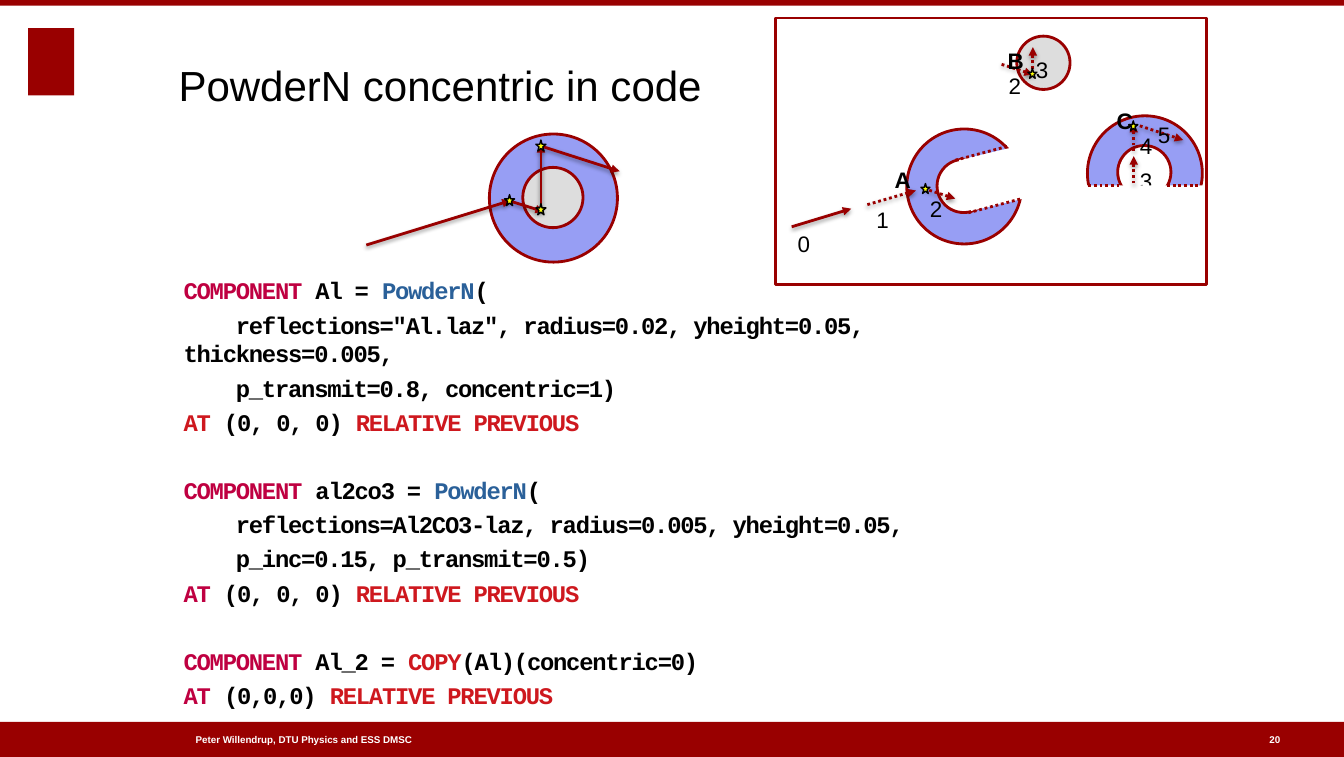
"""Build the slide on concentric powder scattering."""
from lxml.etree import SubElement as Sub
from pptx import Presentation as Deck
from pptx.dml.color import RGBColor as Rgb
from pptx.enum.dml import MSO_LINE as Dash
from pptx.enum.shapes import MSO_CONNECTOR as Link, MSO_SHAPE as Geo
from pptx.enum.text import MSO_ANCHOR as Anchor
from pptx.oxml.ns import qn
from pptx.util import Pt

WIDE, HIGH = 959, 540
RED = Rgb(0x99, 0, 0)
BLUE = Rgb(0x97, 0x9E, 0xF4)
GREY = Rgb(0xDD, 0xDD, 0xDD)
GOLD = Rgb(0xFE, 0xFF, 0x0A)
WHITE = Rgb(0xFF, 0xFF, 0xFF)
BLACK = Rgb(0, 0, 0)
PINK = Rgb(0xBF, 0, 0x41)
NAVY = Rgb(0x2A, 0x60, 0x99)
BRIGHT = Rgb(0xCE, 0x18, 0x1E)

PLACE = [("RELATIVE PREVIOUS", BRIGHT)]
CODE = [
    [[("COMPONENT", PINK), (" Al = ", BLACK), ("PowderN", NAVY), ("(", BLACK)],
     [('    reflections="Al.laz", radius=0.02, yheight=0.05, thickness=0.005,', BLACK)],
     [("    p_transmit=0.8, concentric=1)", BLACK)],
     [("AT", BRIGHT), (" (0, 0, 0) ", BLACK)] + PLACE],
    [[("COMPONENT", PINK), (" al2co3 = ", BLACK), ("PowderN", NAVY), ("(", BLACK)],
     [("    reflections=Al2CO3-laz, radius=0.005, yheight=0.05,", BLACK)],
     [("    p_inc=0.15, p_transmit=0.5)", BLACK)],
     [("AT", PINK), (" (0, 0, 0) ", BLACK)] + PLACE],
    [[("COMPONENT", PINK), (" Al_2 = ", BLACK), ("COPY", BRIGHT), ("(Al)(concentric=0)", BLACK)],
     [("AT ", PINK), ("(0,0,0) ", BLACK)] + PLACE],
]


def style(item, form):
    """Set each format value on the item."""
    for key, value in form.items():
        setattr(item, key, value)


def shape(slide, kind, box, fill, edge=None, thick=2, turn=0):
    """Add a flat preset shape."""
    form = slide.shapes.add_shape(kind, *map(Pt, box))
    form.shadow.inherit = False
    form.rotation = turn
    form.fill.solid()
    form.fill.fore_color.rgb = fill
    if edge is None:
        form.line.fill.background()
    else:
        form.line.color.rgb = edge
        form.line.width = Pt(thick)


def disc(slide, left, top, size, fill):
    """Add a red-edged circle."""
    shape(slide, Geo.OVAL, (left, top, size, size), fill, RED)


def star(slide, left, top, size):
    """Mark a scattering point."""
    shape(slide, Geo.STAR_5_POINT, (left, top, size, size * 1.1), GOLD, BLACK, 1)


def ray(slide, left, top, ends, dots=False, arrow=True):
    """Add a line, with a shadow if it is an arrow."""
    x1, y1, x2, y2 = ends
    line = slide.shapes.add_connector(
        Link.STRAIGHT, Pt(left + x1), Pt(top + y1), Pt(left + x2), Pt(top + y2))
    line.line.color.rgb = RED
    line.line.width = Pt(2)
    if dots:
        line.line.dash_style = Dash.ROUND_DOT
    props = line._element.spPr
    if arrow:
        Sub(props.find(qn("a:ln")), qn("a:tailEnd"), type="triangle")
    glow = Sub(props, qn("a:effectLst"))
    if arrow:
        shade = Sub(glow, qn("a:outerShdw"), blurRad=str(Pt(3)), dist=str(Pt(1.6)),
                    dir="5400000", rotWithShape="0")
        tint = Sub(shade, qn("a:srgbClr"), val="000000")
        Sub(tint, qn("a:alpha"), val="38000")


def frame(slide, box, anchor=Anchor.TOP):
    """Add a text box without margins."""
    text = slide.shapes.add_textbox(*map(Pt, box)).text_frame
    style(text, dict(word_wrap=True, vertical_anchor=anchor, margin_left=0,
                     margin_top=0, margin_right=0, margin_bottom=0))
    return text


def write(para, words, size, tint=BLACK, bold=False, face="Arial"):
    """Add a run of text to a paragraph."""
    run = para.add_run()
    run.text = words
    style(run.font, dict(name=face, size=Pt(size), bold=bold))
    run.font.color.rgb = tint
    return run


def label(slide, box, words, size, tint=BLACK, bold=False, anchor=Anchor.TOP):
    """Add a single line of text."""
    write(frame(slide, box, anchor).paragraphs[0], words, size, tint, bold)


def border(slide, wide, high):
    """Add the bars, the mark and the footer."""
    shape(slide, Geo.RECTANGLE, (0, 0, wide, 4), RED)
    shape(slide, Geo.RECTANGLE, (0, high - 25, wide, 25), RED)
    shape(slide, Geo.RECTANGLE, (20, 20, 33, 48), RED)
    for left, span, words in ((139.7, 268, "Peter Willendrup, DTU Physics and ESS DMSC"),
                              (905.8, 20, "20")):
        label(slide, (left, high - 17.3, span, 10), words, 7, WHITE, True, Anchor.MIDDLE)


def code(slide, box):
    """Write the code, with a wider gap between blocks."""
    text = frame(slide, box)
    para = None
    for block in CODE:
        for row, parts in enumerate(block):
            if para is None:
                para = text.paragraphs[0]
            else:
                para = text.add_paragraph()
                para.space_before = Pt(4 if row else 28.3)
            for words, tint in parts:
                run = write(para, words, 17, tint, True, "Courier New")
                run._r.get_or_add_rPr().set("spc", "-90")


def panel(slide, left, top, wide, high):
    """Draw the framed view of the separate steps."""
    shape(slide, Geo.RECTANGLE, (left, top, wide, high), WHITE, RED)
    for x, y, size, fill in ((93.6, 79.2, 82, BLUE), (115.2, 100.8, 38, WHITE),
                             (222.5, 69.8, 82, BLUE), (244.1, 91, 38, WHITE),
                             (172.1, 13, 38, GREY)):
        disc(slide, left + x, top + y, size, fill)
    label(slide, (left + 259.9, top + 106.6, 14, 18), "3", 16)
    shape(slide, Geo.RECTANGLE, (left + 134.6, top + 95.8, 43.9, 37.4), WHITE, turn=-13.3)
    shape(slide, Geo.RECTANGLE, (left + 213.1, top + 119.5, 92.2, 43.9), WHITE)
    for ends in ((128.2, 101.5, 166.3, 91.4), (137.5, 139, 175.7, 128.9),
                 (223.2, 119.5, 247, 119.5), (279.4, 119.5, 303.1, 119.5)):
        ray(slide, left, top, ends, dots=True, arrow=False)
    ray(slide, left, top, (11.5, 149, 54, 136.1))
    for ends in ((65.5, 133.2, 100.1, 123.1), (105.8, 121.7, 128.2, 128.9),
                 (161.3, 33.1, 183.6, 40.3), (183.6, 40.3, 183.6, 20.9),
                 (255.6, 118.1, 255.6, 98.6), (255.6, 95, 255.6, 75.6),
                 (259.9, 77, 290.9, 87.1)):
        ray(slide, left, top, ends, dots=True)
    for x, y in ((103.7, 118.1), (180, 36), (252, 73.4)):
        star(slide, left + x, top + y, 6.5)
    for x, y, words in ((15.8, 151.2, "0"), (72, 133.9, "1"), (110.2, 126, "2"),
                        (166.3, 38.9, "2"), (185.8, 27.4, "3"), (259.9, 81.4, "4"),
                        (272.9, 73.4, "5"), (85, 105.8, "A"), (165.6, 20.9, "B"),
                        (243.4, 63.4, "C")):
        label(slide, (left + x, top + y, 14, 18), words, 16, bold=words.isalpha())


def target(slide, left, top):
    """Draw the full path through both cylinders."""
    disc(slide, left + 87.8, top, 91.4, BLUE)
    disc(slide, left + 111.6, top + 23.8, 43, GREY)
    for ends in ((0, 79.2, 103, 47.5), (101.5, 47.5, 126.7, 55.4),
                 (124.6, 54, 124.6, 7.2), (124.6, 8.6, 180.7, 26.6)):
        ray(slide, left, top, ends)
    for x, y in ((98.6, 43.2), (121, 49.7), (121, 4.3)):
        star(slide, left + x, top + y, 7.2)


def main():
    """Build and save the slide."""
    deck = Deck()
    style(deck, dict(slide_width=Pt(WIDE), slide_height=Pt(HIGH)))
    slide = deck.slides.add_slide(deck.slide_layouts[6])
    border(slide, WIDE, HIGH)
    label(slide, (127.4, 42.5, 420, 36), "PowderN concentric in code", 30)
    code(slide, (131, 197, 641, 310))
    panel(slide, 553.4, 12.8, 307.5, 190)
    target(slide, 261.4, 95.6)
    deck.save("out.pptx")


if __name__ == "__main__":
    main()
